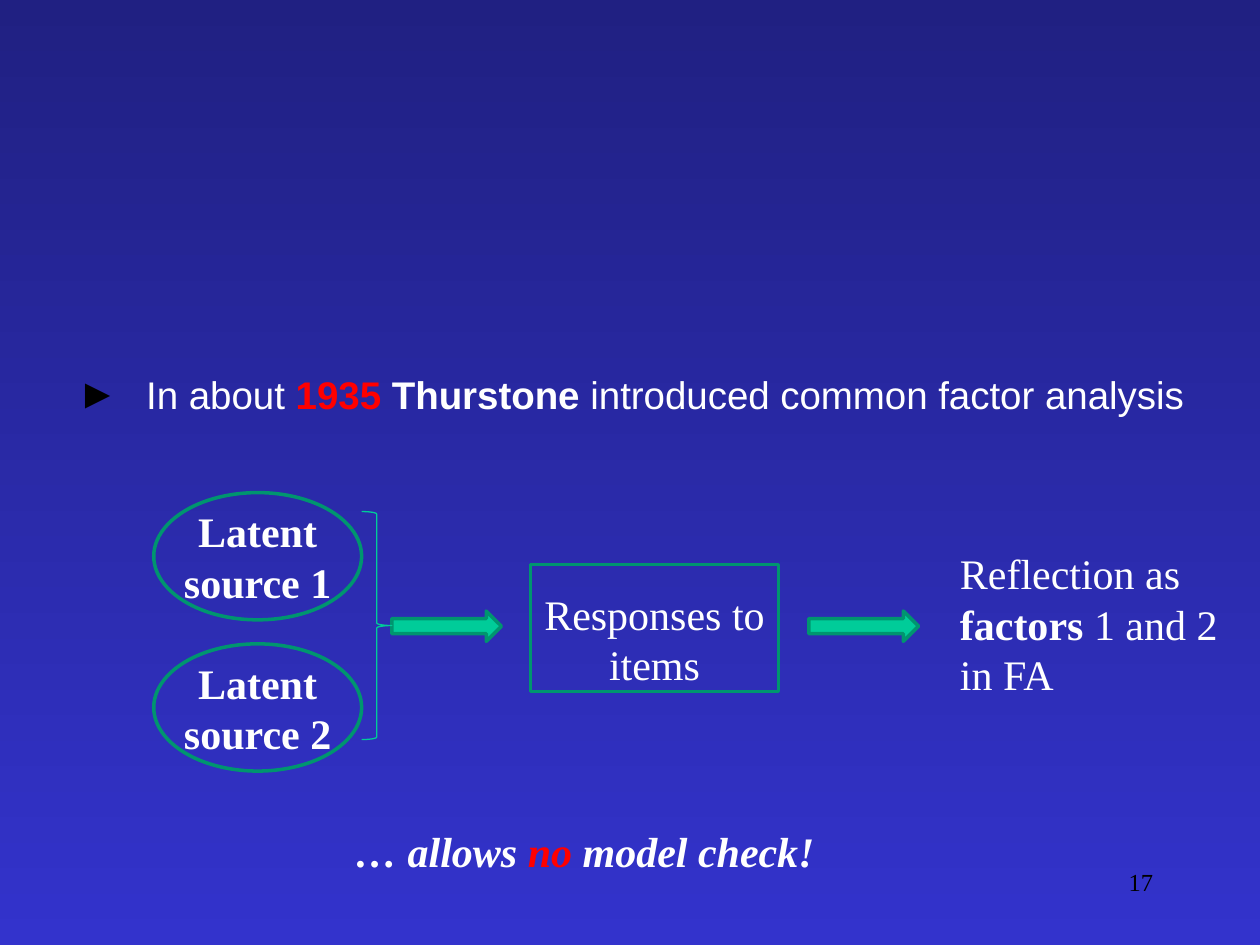
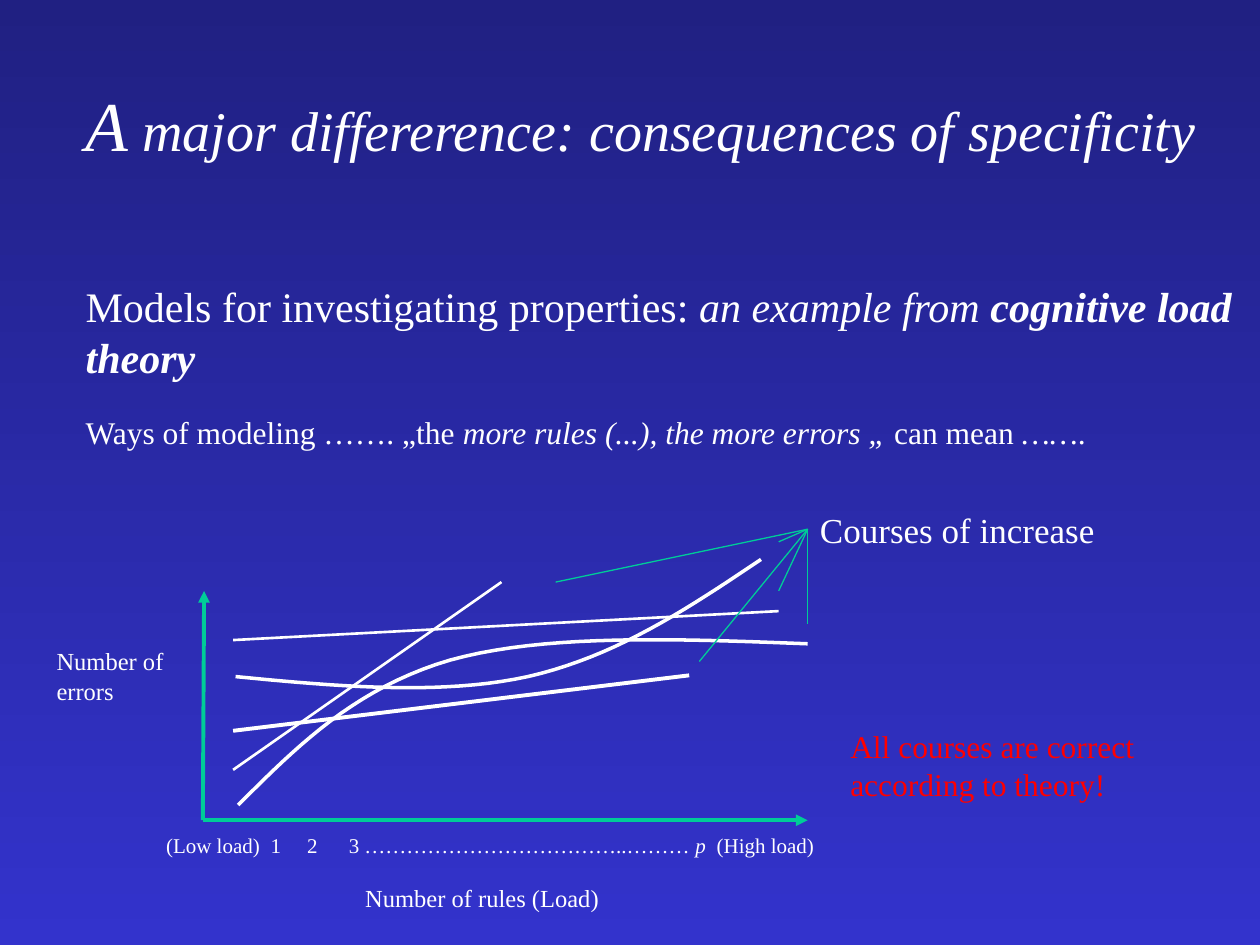
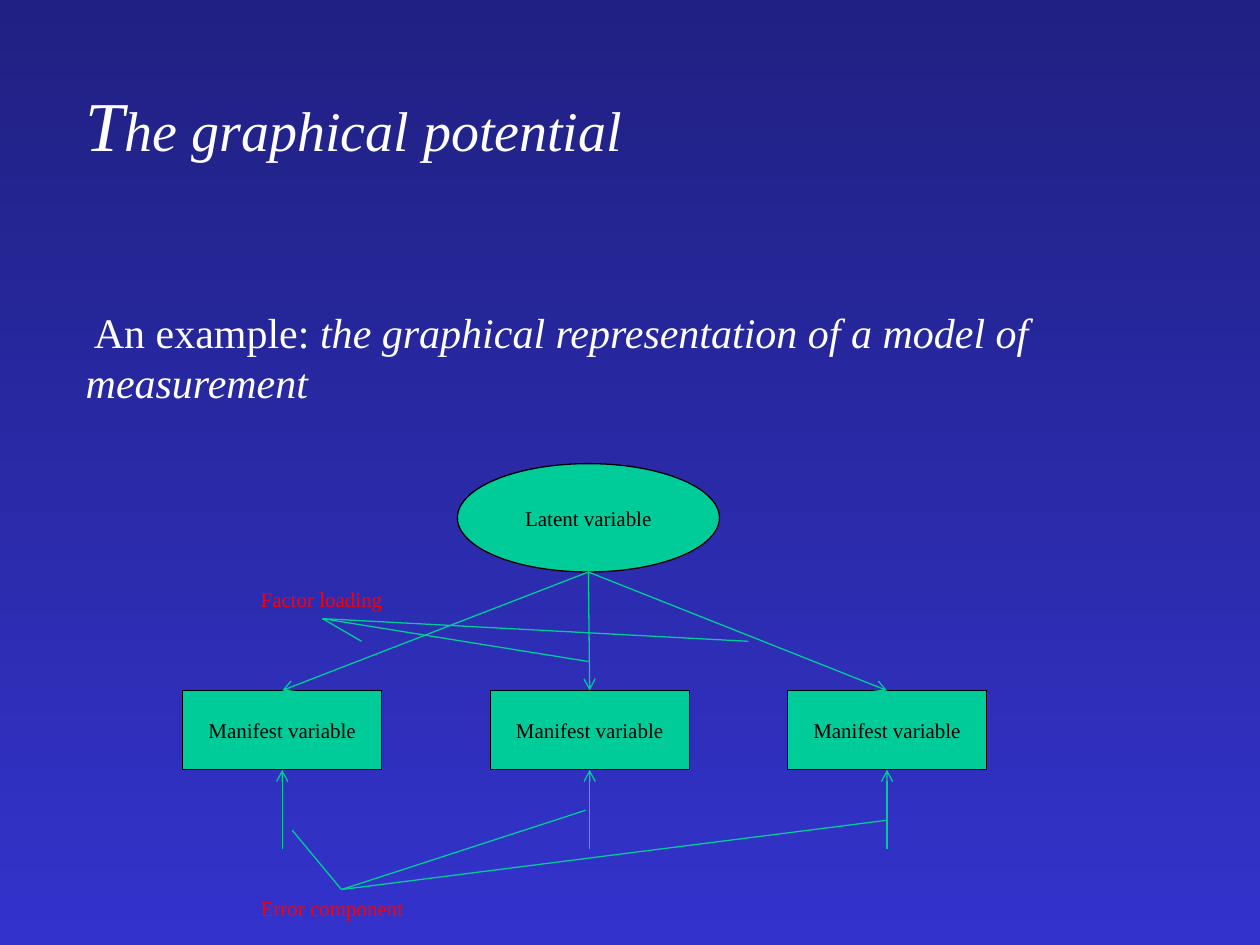
from typing import NamedTuple, Optional, Sequence

from lxml import etree
from pptx import Presentation
from pptx.dml.color import RGBColor
from pptx.enum import shapes, text
from pptx.oxml import ns
from pptx.util import Inches, Pt

SERIF = "Times New Roman"
SANS = "Arial"
NIGHT = RGBColor(0x20, 0x20, 0x82)
BLUE = RGBColor(0x33, 0x33, 0xCC)
WHITE = RGBColor(0xFF, 0xFF, 0xFF)
BLACK = RGBColor(0, 0, 0)
RED = RGBColor(0xFF, 0, 0)
GREEN = RGBColor(0x00, 0xCC, 0x99)
LINE_GREEN = RGBColor(0x00, 0xCC, 0x98)
DARK_GREEN = RGBColor(0x00, 0x95, 0x6F)
LEFT, CENTER, RIGHT = text.PP_ALIGN.LEFT, text.PP_ALIGN.CENTER, text.PP_ALIGN.RIGHT
CURVE_STEPS = 20


class Box(NamedTuple):
    left: float
    top: float
    width: float
    height: float

    @property
    def lengths(self) -> list:
        return [Inches(value) for value in self]


class Point(NamedTuple):
    x: float
    y: float


class Piece(NamedTuple):
    text: str
    bold: bool = False
    italic: bool = False
    color: Optional[RGBColor] = None
    size: Optional[float] = None


class Style(NamedTuple):
    size: float
    color: RGBColor = WHITE
    font: str = SERIF
    align: int = LEFT


class Label(NamedTuple):
    box: Box
    pieces: Sequence[Piece]
    style: Style


class Stroke(NamedTuple):
    start: Point
    end: Point
    color: RGBColor = LINE_GREEN
    width: float = 0.75
    head: str = ""


def add_xml(parent, tag: str, **attributes: str):
    return etree.SubElement(parent, ns.qn(tag), attributes)


def write(paragraph, pieces: Sequence[Piece], style: Style) -> None:
    paragraph.alignment = style.align
    for piece in pieces:
        if piece.text == "\v":
            paragraph.add_line_break()
            continue
        run = paragraph.add_run()
        run.text = piece.text
        run.font.name = style.font
        run.font.size = Pt(piece.size or style.size)
        run.font.bold = piece.bold
        run.font.italic = piece.italic
        run.font.color.rgb = piece.color or style.color


def place(shape, box: Box) -> None:
    shape.left, shape.top, shape.width, shape.height = box.lengths
    frame = shape.text_frame
    frame.word_wrap = True
    frame.auto_size = text.MSO_AUTO_SIZE.NONE
    frame.vertical_anchor = text.MSO_ANCHOR.TOP


def add_label(slide, label: Label):
    shape = slide.shapes.add_textbox(*label.box.lengths)
    shape.text_frame.word_wrap = True
    write(shape.text_frame.paragraphs[0], label.pieces, label.style)
    return shape


def add_title(slide, initial: str, rest: str) -> None:
    place(slide.shapes.title, Box(0.58, 0.6, 9.38, 0.77))
    write(slide.shapes.title.text_frame.paragraphs[0],
          [Piece(initial, italic=True, size=40), Piece(rest, italic=True)], Style(32))


def add_body_paragraph(paragraph, pieces: Sequence[Piece], style: Style,
                       before: float = 0, bullet: str = "") -> None:
    paragraph.space_before = Pt(before)
    properties = paragraph._p.get_or_add_pPr()
    indent = Inches(0.55) if bullet else 0
    properties.set("marL", str(indent))
    properties.set("indent", str(-indent))
    if bullet:
        color = add_xml(properties, "a:buClr")
        add_xml(color, "a:srgbClr", val=str(BLACK))
        add_xml(properties, "a:buSzPct", val="109000")
        add_xml(properties, "a:buFont", typeface=SANS)
        add_xml(properties, "a:buChar", char=bullet)
    else:
        add_xml(properties, "a:buNone")
    write(paragraph, pieces, style)


def add_figure(slide, kind, box: Box, line: RGBColor, width: float,
               fill: Optional[RGBColor] = None):
    shape = slide.shapes.add_shape(kind, *box.lengths)
    shape.shadow.inherit = False
    shape.line.color.rgb = line
    shape.line.width = Pt(width)
    if fill is None:
        shape.fill.background()
    else:
        shape.fill.solid()
        shape.fill.fore_color.rgb = fill
    return shape


def add_stroke(slide, stroke: Stroke):
    connector = slide.shapes.add_connector(
        shapes.MSO_CONNECTOR.STRAIGHT,
        *[Inches(value) for value in (*stroke.start, *stroke.end)])
    connector.line.color.rgb = stroke.color
    connector.line.width = Pt(stroke.width)
    if stroke.head:
        add_xml(connector.line._get_or_add_ln(), "a:tailEnd", type=stroke.head)
    add_xml(connector._element.spPr, "a:effectLst")
    return connector


def add_fan(slide, origin: Point, targets: Sequence[Point]) -> None:
    for target in targets:
        add_stroke(slide, Stroke(origin, target))


def bezier(points: Sequence[Point], t: float) -> Point:
    weights = ((1 - t) ** 3, 3 * t * (1 - t) ** 2, 3 * t ** 2 * (1 - t), t ** 3)
    return Point(sum(w * p.x for w, p in zip(weights, points)),
                 sum(w * p.y for w, p in zip(weights, points)))


def add_curve(slide, points: Sequence[Point]) -> None:
    builder = slide.shapes.build_freeform(Inches(points[0].x), Inches(points[0].y))
    path_points = [bezier(points[first:first + 4], step / CURVE_STEPS)
                   for first in range(0, len(points) - 1, 3)
                   for step in range(1, CURVE_STEPS + 1)]
    builder.add_line_segments([(Inches(p.x), Inches(p.y)) for p in path_points], close=False)
    curve = builder.convert_to_shape()
    curve.shadow.inherit = False
    curve.fill.background()
    curve.line.color.rgb = WHITE
    curve.line.width = Pt(2)


def set_background(presentation) -> None:
    fill = presentation.slide_master.background.fill
    fill.gradient()
    fill.gradient_angle = 270
    for stop, color, position in zip(fill.gradient_stops, (NIGHT, BLUE), (0, 1)):
        stop.color.rgb = color
        stop.position = position


def build_factor_analysis(slide) -> None:
    title = slide.shapes.title._element
    title.getparent().remove(title)
    body = slide.placeholders[1]
    place(body, Box(0.51, 1.67, 9.22, 2.06))
    body.text_frame.vertical_anchor = text.MSO_ANCHOR.BOTTOM
    body.text_frame.margin_bottom = Inches(0.42)
    add_body_paragraph(body.text_frame.paragraphs[0], [
        Piece("In about "), Piece("1935 ", bold=True, color=RED),
        Piece("Thurstone ", bold=True), Piece("introduced common factor analysis"),
    ], Style(22, font=SANS), bullet="►")

    for number, top in enumerate((3.91, 5.11), start=1):
        source = add_figure(slide, shapes.MSO_SHAPE.OVAL, Box(1.22, top, 1.65, 1.01),
                            DARK_GREEN, 2)
        source.text_frame.word_wrap = False
        write(source.text_frame.paragraphs[0],
              [Piece("Latent", bold=True), Piece("\v"), Piece(f"source {number}", bold=True)],
              Style(24, align=CENTER))

    responses = add_figure(slide, shapes.MSO_SHAPE.RECTANGLE, Box(4.21, 4.48, 1.97, 1.01),
                           DARK_GREEN, 2)
    frame = responses.text_frame
    frame.margin_left = frame.margin_right = Inches(0.05)
    frame.margin_top, frame.margin_bottom = Inches(0.17), 0
    write(frame.paragraphs[0], [Piece("Responses to items")], Style(24, align=CENTER))

    for left in (3.11, 6.42):
        add_figure(slide, shapes.MSO_SHAPE.RIGHT_ARROW, Box(left, 4.85, 0.87, 0.24),
                   DARK_GREEN, 2, GREEN)
    add_figure(slide, shapes.MSO_SHAPE.RIGHT_BRACE, Box(2.87, 4.06, 0.24, 1.81),
               LINE_GREEN, 0.75)

    for label in (
        Label(Box(7.52, 4.3, 2.48, 1.3),
              [Piece("Reflection as "), Piece("factors", bold=True), Piece(" 1 and 2 in FA")],
              Style(24)),
        Label(Box(2.72, 6.5, 6.85, 0.5),
              [Piece("… allows ", True, True), Piece("no", True, True, RED),
               Piece(" model check!", True, True)], Style(24)),
        Label(Box(7.17, 6.83, 2.08, 0.5), [Piece("17")], Style(14, BLACK, align=RIGHT)),
    ):
        add_label(slide, label)


def build_specificity(slide) -> None:
    add_title(slide, "A", " major differerence: consequences of specificity")
    body = slide.placeholders[1]
    place(body, Box(0.58, 2.18, 9.42, 1.45))
    add_body_paragraph(body.text_frame.paragraphs[0], [
        Piece("Models for investigating properties: "),
        Piece("an example from ", italic=True),
        Piece("cognitive load theory", bold=True, italic=True),
    ], Style(24))
    add_body_paragraph(body.text_frame.add_paragraph(), [
        Piece("Ways of modeling ……. „the"),
        Piece(" more rules (...), the more errors „ ", italic=True),
        Piece("can mean "), Piece("……", italic=True), Piece("."),
    ], Style(18), before=18)

    origin = Point(1.61, 6.51)
    for stroke in (
        Stroke(Point(1.85, 6.11), Point(3.98, 4.62), WHITE, 1.5),
        Stroke(Point(1.85, 5.8), Point(5.47, 5.36), WHITE, 2.25),
        Stroke(Point(1.85, 5.08), Point(6.18, 4.85), WHITE, 1.5),
        Stroke(origin, Point(1.62, 4.69), width=2.25, head="triangle"),
        Stroke(origin, Point(6.41, 6.51), width=2.25, head="triangle"),
    ):
        add_stroke(slide, stroke)
    add_curve(slide, [Point(1.89, 6.39), Point(2.36, 5.92), Point(2.82, 5.46),
                      Point(3.57, 5.24), Point(4.32, 5.03), Point(5.37, 5.07),
                      Point(6.41, 5.11)])
    add_curve(slide, [Point(1.87, 5.37), Point(2.69, 5.45), Point(3.5, 5.52),
                      Point(4.19, 5.37), Point(4.89, 5.21), Point(5.46, 4.83),
                      Point(6.04, 4.44)])
    add_fan(slide, Point(6.41, 4.2), [Point(6.18, 4.3), Point(4.41, 4.62), Point(6.18, 4.69),
                                      Point(5.55, 5.25), Point(6.41, 4.95)])

    for label in (
        Label(Box(2.8, 6.96, 2.36, 0.34), [Piece("Number of rules (Load)")], Style(14)),
        Label(Box(0.35, 5.08, 1.18, 0.57), [Piece("Number of errors")], Style(14)),
        Label(Box(6.41, 3.99, 2.53, 0.44), [Piece("Courses of increase")], Style(20)),
    ):
        add_label(slide, label)

    conclusion_style = Style(18, RED)
    conclusion = add_label(slide, Label(Box(6.65, 5.72, 3.47, 0.7),
                                        [Piece("All courses are correct")], conclusion_style))
    write(conclusion.text_frame.add_paragraph(), [Piece("according to theory!")],
          conclusion_style)

    scale = add_label(slide, Label(Box(1.22, 6.56, 7.03, 0.3), [
        Piece("(Low load)\t1\t2\t3 ………………………………..……… "),
        Piece("p", italic=True), Piece("\t(High load)"),
    ], Style(12)))
    tabs = add_xml(scale.text_frame.paragraphs[0]._p.get_or_add_pPr(), "a:tabLst")
    for position in (0.83, 1.12, 1.45, 4.37):
        add_xml(tabs, "a:tab", pos=str(Inches(position)), algn="l")


def build_graphical_potential(slide) -> None:
    add_title(slide, "T", "he graphical potential")
    body = slide.placeholders[1]
    place(body, Box(0.58, 2.38, 9.42, 1.51))
    add_body_paragraph(body.text_frame.paragraphs[0], [
        Piece(" An example: "),
        Piece("the graphical representation of a model of measurement", italic=True),
    ], Style(24))

    variable_style = Style(12, BLACK, align=CENTER)
    latent = add_figure(slide, shapes.MSO_SHAPE.OVAL, Box(3.63, 3.68, 2.08, 0.86),
                        BLACK, 0.75, GREEN)
    write(latent.text_frame.paragraphs[0], [Piece("Latent variable")], variable_style)

    for left in (1.45, 3.89, 6.25):
        box = Box(left, 5.48, 1.58, 0.63)
        manifest = add_figure(slide, shapes.MSO_SHAPE.RECTANGLE, box, BLACK, 0.75, GREEN)
        write(manifest.text_frame.paragraphs[0], [Piece("Manifest variable")], variable_style)
        middle = box.left + box.width / 2
        bottom = box.top + box.height
        loading = add_stroke(slide, Stroke(Point(4.67, 4.54), Point(middle, box.top),
                                           head="arrow"))
        loading.end_connect(manifest, 0)
        error = add_stroke(slide, Stroke(Point(middle, 6.74), Point(middle, bottom),
                                         head="arrow"))
        error.end_connect(manifest, 2)

    add_fan(slide, Point(2.56, 4.91), [Point(2.87, 5.09), Point(4.67, 5.25), Point(5.94, 5.09)])
    add_fan(slide, Point(2.71, 7.06), [Point(2.32, 6.59), Point(4.65, 6.43), Point(7.04, 6.51)])
    for caption, top, width in (("Factor loading", 4.61, 1.18), ("Error component", 7.06, 1.48)):
        add_label(slide, Label(Box(1.97, top, width, 0.3), [Piece(caption)], Style(12, RED)))


def main() -> None:
    presentation = Presentation()
    presentation.slide_width = Inches(10)
    presentation.slide_height = Inches(7.5)
    set_background(presentation)
    for build in (build_factor_analysis, build_specificity, build_graphical_potential):
        build(presentation.slides.add_slide(presentation.slide_layouts[1]))
    presentation.save("out.pptx")


if __name__ == "__main__":
    main()
